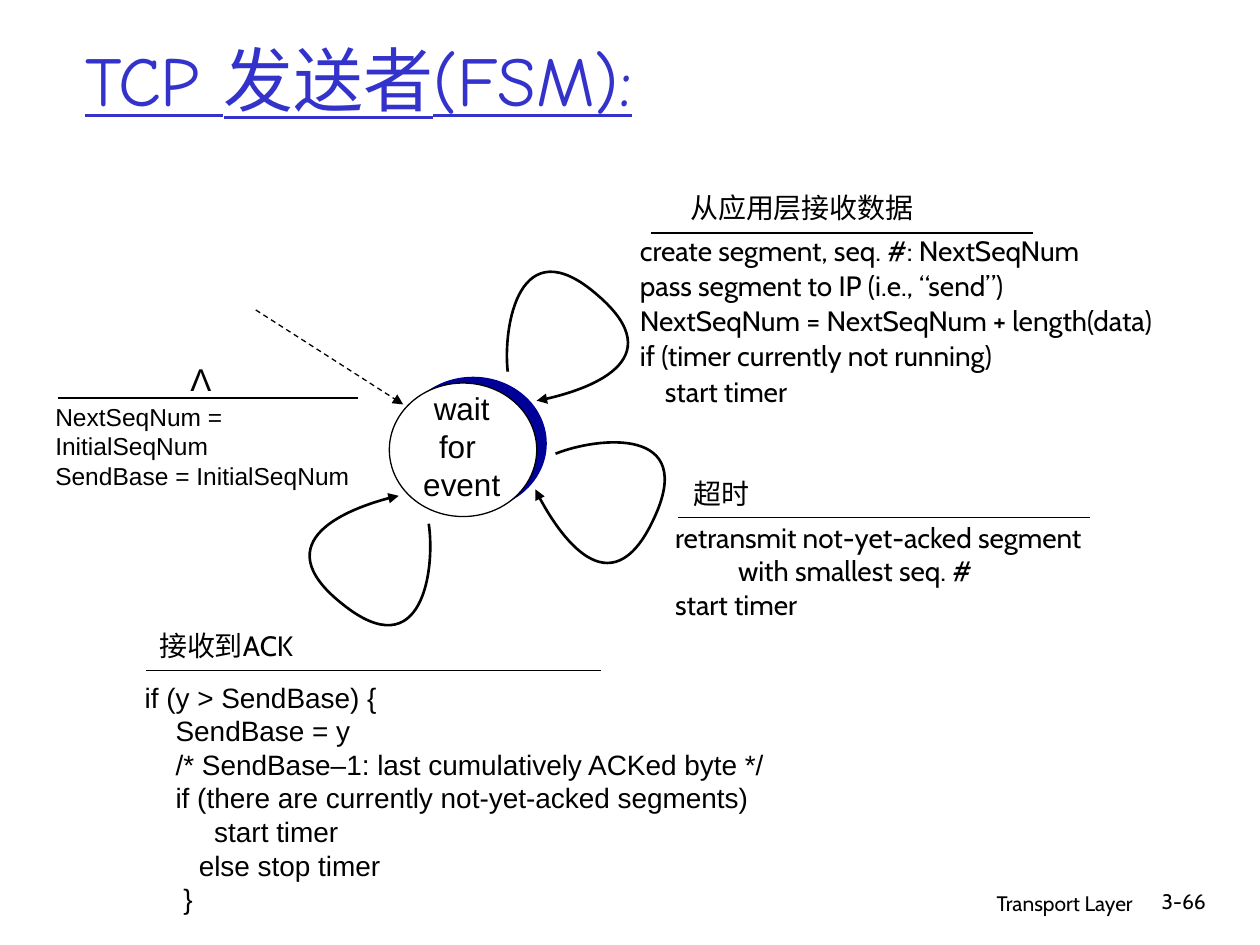
from dataclasses import dataclass

from lxml.etree import SubElement
from pptx import Presentation
from pptx.dml.color import RGBColor
from pptx.enum.dml import MSO_LINE
from pptx.enum.shapes import MSO_CONNECTOR, MSO_SHAPE
from pptx.enum.text import MSO_ANCHOR, MSO_AUTO_SIZE, PP_ALIGN
from pptx.oxml.ns import qn
from pptx.util import Inches, Pt

BLACK = RGBColor(0x00, 0x00, 0x00)
WHITE = RGBColor(0xFF, 0xFF, 0xFF)
NAVY = RGBColor(0x00, 0x00, 0x99)
TITLE_BLUE = RGBColor(0x33, 0x33, 0xCC)
LEFT, CENTER, RIGHT = PP_ALIGN.LEFT, PP_ALIGN.CENTER, PP_ALIGN.RIGHT


@dataclass
class Label:
    text: str
    left: float
    top: float
    width: float
    height: float
    size: int = 16
    font: str = "Cabin"
    align: PP_ALIGN = LEFT
    color: RGBColor = BLACK
    line_spacing: float = 1.0
    underline: bool = False
    wrap: bool = False
    grow: bool = True
    anchor: MSO_ANCHOR = MSO_ANCHOR.TOP


@dataclass
class Line:
    start: tuple[float, float]
    end: tuple[float, float]
    dashed: bool = False
    arrow: bool = False


@dataclass
class Transition:
    event: Label
    rule: Line
    actions: Label


@dataclass
class Loop:
    left: float
    top: float
    rotation: float


# Control points of a self-loop, relative to its frame: start, then two cubic curves
LOOP_POINTS = [(0.04, 1.15), (0, 0.79), (0.13, 0), (0.75, 0.54),
               (1.37, 1.07), (0.53, 1.34), (0.27, 1.38)]

LOOPS = [Loop(3.99, 1.8, 0), Loop(4.34, 3.41, 74.5), Loop(2.09, 3.95, 177.9)]

TRANSITIONS = [
    Transition(
        Label("Λ", 1.41, 2.81, 0.37, 0.4, size=18, font="Arial", align=CENTER),
        Line((0.46, 3.16), (2.84, 3.16)),
        Label("NextSeqNum = InitialSeqNum\nSendBase = InitialSeqNum",
              0.34, 3.14, 2.79, 0.57, size=14, font="Arial")),
    Transition(
        Label("从应用层接收数据", 5.38, 1.46, 1.97, 0.37, align=CENTER),
        Line((5.17, 1.85), (8.2, 1.85)),
        Label("create segment, seq. #: NextSeqNum\n"
              "pass segment to IP (i.e., “send”)\n"
              "NextSeqNum = NextSeqNum + length(data)\n"
              "if (timer currently not running)\n"
              "    start timer",
              4.98, 1.79, 4.78, 1.5, line_spacing=1.05)),
    Transition(
        Label("超时", 5.41, 3.73, 0.64, 0.37, align=CENTER),
        Line((5.38, 4.11), (8.65, 4.11)),
        Label("retransmit not-yet-acked segment\v\twith smallest seq. #\nstart timer",
              5.26, 4.08, 3.6, 1.17, wrap=True)),
    Transition(
        Label("接收到ACK", 1.13, 4.94, 1.33, 0.37, align=CENTER),
        Line((1.16, 5.32), (4.77, 5.32)),
        Label("if (y > SendBase) {\n"
              "    SendBase = y\n"
              "    /* SendBase–1: last cumulatively ACKed byte */\n"
              "    if (there are currently not-yet-acked segments)\n"
              "         start timer\n"
              "       else stop timer\n"
              "     }",
              1.05, 5.35, 5.13, 1.97, font="Arial")),
]

TITLE = Label("TCP 发送者(FSM):", 0.58, 0, 8.92, 1.25, size=40, font="Comic Neue",
              color=TITLE_BLUE, underline=True, wrap=True, grow=False,
              anchor=MSO_ANCHOR.MIDDLE)
STATE_NAME = Label("wait\nfor \nevent", 3.26, 3.04, 0.81, 1, size=18,
                   font="Arial", align=CENTER)
FOOTERS = [
    Label("Transport Layer", 5.92, 7.02, 3.17, 0.5, size=12, align=RIGHT,
          wrap=True, grow=False),
    Label("3-66", 8.93, 7, 0.74, 0.5, size=12, align=RIGHT, wrap=True, grow=False),
]


def add_label(shapes, label: Label) -> None:
    box = shapes.add_textbox(Inches(label.left), Inches(label.top),
                             Inches(label.width), Inches(label.height))
    frame = box.text_frame
    frame.text = label.text
    frame.word_wrap = label.wrap
    frame.auto_size = MSO_AUTO_SIZE.SHAPE_TO_FIT_TEXT if label.grow else MSO_AUTO_SIZE.NONE
    frame.vertical_anchor = label.anchor
    for paragraph in frame.paragraphs:
        paragraph.alignment = label.align
        paragraph.line_spacing = label.line_spacing
        font = paragraph.font
        font.name = label.font
        font.size = Pt(label.size)
        font.color.rgb = label.color
        font.underline = label.underline


def style_line(line, width: float, arrow: bool) -> None:
    line.color.rgb = BLACK
    line.width = Pt(width)
    if arrow:
        SubElement(line._get_or_add_ln(), qn("a:tailEnd"), type="triangle")


def add_line(shapes, line: Line) -> None:
    connector = shapes.add_connector(MSO_CONNECTOR.STRAIGHT,
                                     *map(Inches, line.start + line.end))
    if line.dashed:
        connector.line.dash_style = MSO_LINE.DASH
    style_line(connector.line, 0.75, line.arrow)
    SubElement(connector._element.spPr, qn("a:effectLst"))


def add_transition(shapes, transition: Transition) -> None:
    group = shapes.add_group_shape()
    add_label(group.shapes, transition.actions)
    add_label(group.shapes, transition.event)
    add_line(group.shapes, transition.rule)


def add_ellipse(shapes, left: float, top: float, fill: RGBColor, outlined: bool) -> None:
    shape = shapes.add_shape(MSO_SHAPE.OVAL, Inches(left), Inches(top),
                             Inches(1.17), Inches(1.06))
    shape.shadow.inherit = False
    shape.fill.solid()
    shape.fill.fore_color.rgb = fill
    if outlined:
        style_line(shape.line, 0.75, arrow=False)
    else:
        shape.line.fill.background()


def add_loop(shapes, loop: Loop) -> None:
    points = [(Inches(loop.left + x), Inches(loop.top + y)) for x, y in LOOP_POINTS]
    builder = shapes.build_freeform(*points[0])
    builder.add_line_segments(points[1:], close=False)
    shape = builder.convert_to_shape()
    # Every three straight segments become one cubic curve
    outline = shape._element.find(".//" + qn("a:path"))
    segments = outline.findall(qn("a:lnTo"))
    for first in range(0, len(segments), 3):
        curve = SubElement(outline, qn("a:cubicBezTo"))
        for segment in segments[first:first + 3]:
            curve.append(segment[0])
            outline.remove(segment)
    shape.rotation = loop.rotation
    shape.shadow.inherit = False
    shape.fill.background()
    style_line(shape.line, 1.5, arrow=True)


def main() -> None:
    presentation = Presentation()
    presentation.slide_width, presentation.slide_height = Inches(10), Inches(7.5)
    shapes = presentation.slides.add_slide(presentation.slide_layouts[6]).shapes

    # Footer
    for footer in FOOTERS:
        add_label(shapes, footer)

    # State with its offset backing, and the initial arrow
    add_ellipse(shapes, 3.17, 2.99, NAVY, outlined=False)
    add_ellipse(shapes, 3.09, 3.04, WHITE, outlined=True)
    add_label(shapes, STATE_NAME)
    add_line(shapes, Line((2.03, 2.46), (3.2, 3.21), dashed=True, arrow=True))

    # Transitions and their self-loops
    for transition in TRANSITIONS:
        add_transition(shapes, transition)
    for loop in LOOPS:
        add_loop(shapes, loop)

    add_label(shapes, TITLE)
    presentation.save("out.pptx")


if __name__ == "__main__":
    main()
